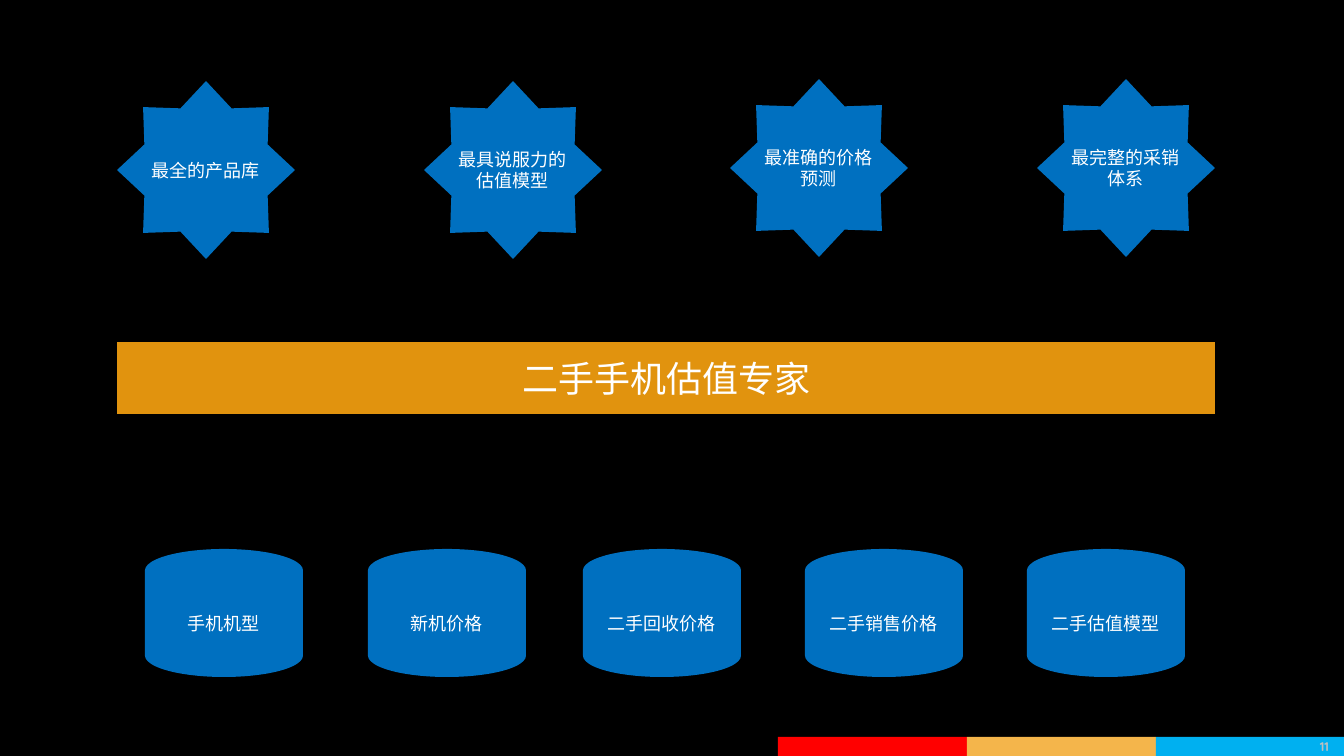
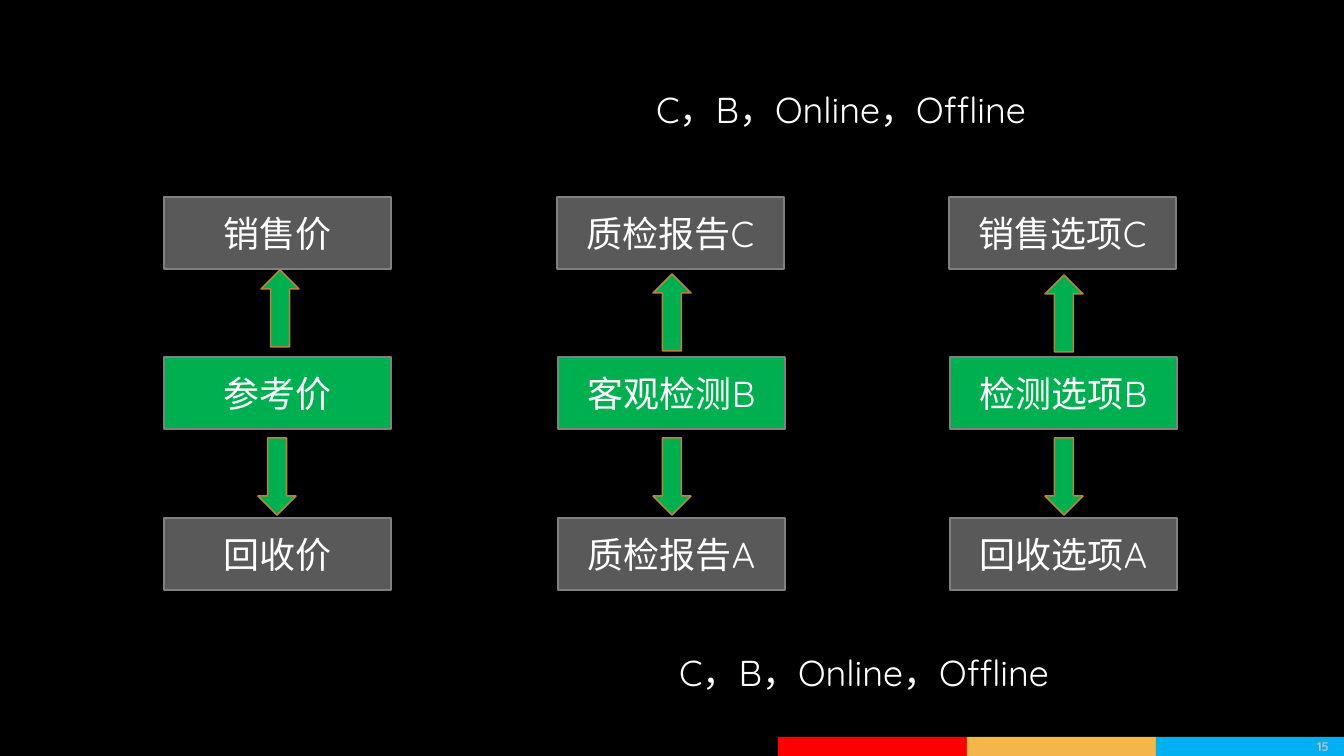
from dataclasses import dataclass

from pptx import Presentation
from pptx import util as u
from pptx.dml.color import RGBColor
from pptx.enum import shapes, text

PX = u.Pt(1)  # 72 px to the inch
KIND = shapes.MSO_SHAPE
ALIGN = text.PP_ALIGN
MIDDLE = text.MSO_ANCHOR.MIDDLE


@dataclass(frozen=True)
class Theme:
    font: str = "Quicksand"
    back: str = "000000"
    ink: str = "FFFFFF"
    faint: str = "BFBFBF"
    amber: str = "E1930E"
    blue: str = "0070C0"
    green: str = "00B050"
    gray: str = "595959"
    edge: str = "808080"
    trim: str = "B58637"
    bands: tuple = ("FF0000", "F4B54B", "00B0F0")
    large: float = 36
    small: float = 18
    tiny: float = 12.6
    line: float = 1.5


def scale(*lengths):
    return [n * PX for n in lengths]


class Deck:
    """Holds the theme, the presentation and the current slide."""

    def __init__(self, theme):
        self.theme = theme
        self.show = Presentation()
        self.show.slide_width, self.show.slide_height = scale(1344, 756)
        self.slide = None
        self.paint(self.show.slide_master.background.fill, theme.back)

    def paint(self, fill, color):
        fill.solid()
        fill.fore_color.rgb = RGBColor.from_string(color)

    def letter(self, frame, words, size, color=None, align=ALIGN.CENTER, bold=False):
        """Set and format the words of a text frame."""
        frame.text = words
        frame.word_wrap = True
        para = frame.paragraphs[0]
        para.alignment = align
        for run in para.runs:
            run.font.name = self.theme.font
            run.font.size = u.Pt(size)
            run.font.bold = bold
            run.font.color.rgb = RGBColor.from_string(color or self.theme.ink)

    def start(self, page, layout):
        """Add a slide; the first one also gives the master its bands."""
        first = self.slide is None
        self.slide = self.show.slides.add_slide(self.show.slide_layouts[layout])
        if first:
            tree = self.show.slide_master.shapes.element
            for i, color in enumerate(self.theme.bands):
                band = self.shape(KIND.RECTANGLE, (778 + 189 * i, 737, 189, 19), color)
                tree.append(band.element)
        self.label(page, (1276, 737, 60, 19), self.theme.tiny, self.theme.faint,
                   ALIGN.RIGHT, True, MIDDLE)

    def title(self, words, box, color):
        title = self.slide.shapes.title
        title.left, title.top, title.width, title.height = scale(*box)
        self.paint(title.fill, color)
        frame = title.text_frame
        frame.auto_size = text.MSO_AUTO_SIZE.NONE
        frame.vertical_anchor = MIDDLE
        self.letter(frame, words, self.theme.large)

    def shape(self, kind, box, color, words="", size=0, edge=None):
        item = self.slide.shapes.add_shape(kind, *scale(*box))
        item.shadow.inherit = False
        self.paint(item.fill, color)
        if edge:
            item.line.color.rgb = RGBColor.from_string(edge)
            item.line.width = u.Pt(self.theme.line)
        else:
            item.line.fill.background()
        if words:
            self.letter(item.text_frame, words, size)
        return item

    def label(self, words, box, size, color=None, align=ALIGN.LEFT, bold=False,
              anchor=text.MSO_ANCHOR.TOP):
        frame = self.slide.shapes.add_textbox(*scale(*box)).text_frame
        frame.vertical_anchor = anchor
        self.letter(frame, words, size, color, align, bold)


def expert(deck):
    look = deck.theme
    deck.start("11", layout=5)
    deck.title("二手手机估值专家", (117, 342, 1098, 72), look.amber)
    disks = zip((145, 368, 583, 805, 1027),
                ("手机机型", "新机价格", "二手回收价格", "二手销售价格", "二手估值模型"))
    for left, words in disks:
        deck.shape(KIND.FLOWCHART_MAGNETIC_DISK, (left, 549, 158, 128),
                   look.blue, words, look.small)
    stars = zip((117, 424, 730, 1037), (81, 81, 79, 79),
                ("最全的产品库", "最具说服力的估值模型", "最准确的价格预测", "最完整的采销体系"))
    for left, top, words in stars:
        deck.shape(KIND.STAR_8_POINT, (left, top, 178, 178),
                   look.blue, words, look.small)


def prices(deck):
    look = deck.theme
    deck.start("15", layout=6)
    tops = (197, 357, 518)
    fills = (look.gray, look.green, look.gray)
    # box lefts, arrow (left, top) up and down, words
    cols = (
        ((164, 164, 164), (261, 270), (258, 438), ("销售价", "参考价", "回收价")),
        ((557, 558, 558), (653, 274), (653, 438), ("质检报告C", "客观检测B", "质检报告A")),
        ((949, 950, 950), (1045, 275), (1045, 438), ("销售选项C", "检测选项B", "回收选项A")),
    )
    for lefts, rise, drop, names in cols:
        for left, top, fill, words in zip(lefts, tops, fills, names):
            deck.shape(KIND.RECTANGLE, (left, top, 227, 72), fill, words,
                       look.large, look.edge)
        for kind, spot in ((KIND.UP_ARROW, rise), (KIND.DOWN_ARROW, drop)):
            deck.shape(kind, (*spot, 38, 77), look.green, edge=look.trim)
    for left, top in ((649, 84), (672, 647)):
        deck.label("C，B，Online，Offline", (left, top, 403, 51), look.large)


def main():
    deck = Deck(Theme())
    expert(deck)
    prices(deck)
    deck.show.save("out.pptx")


if __name__ == "__main__":
    main()
